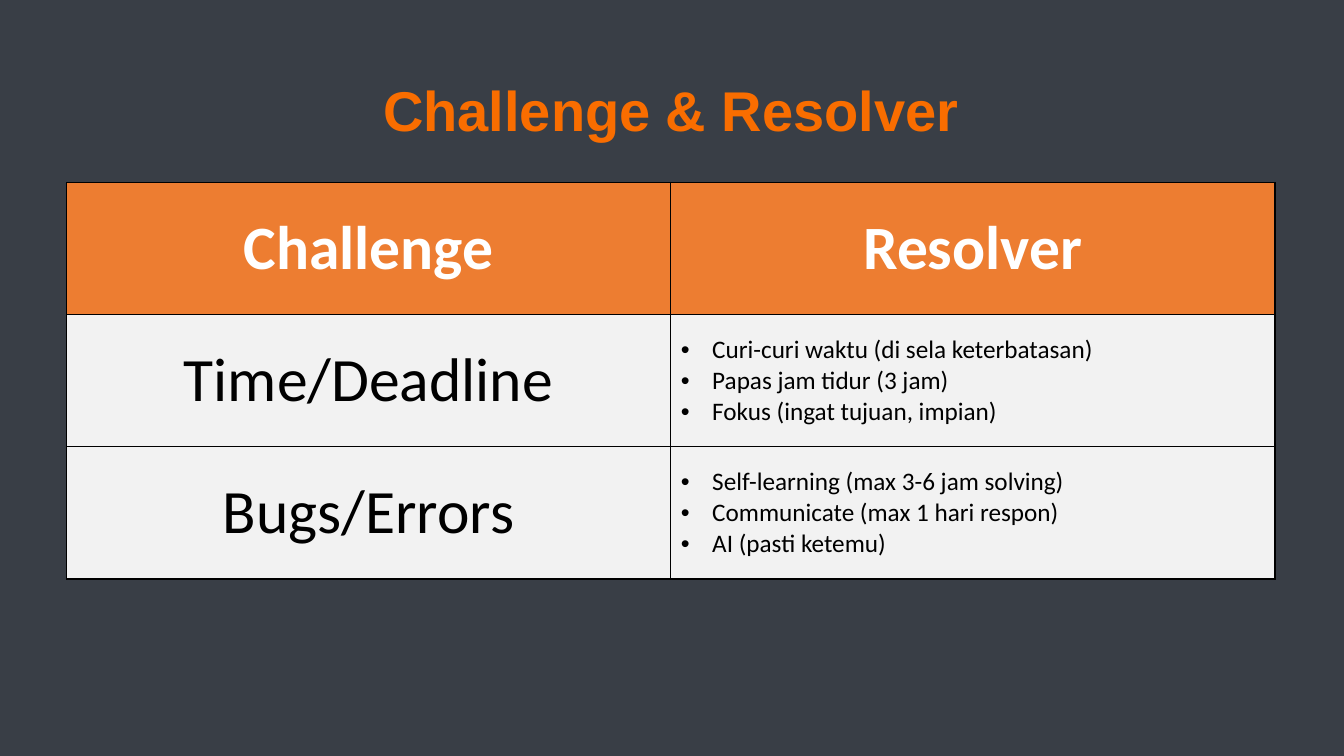
from lxml.etree import SubElement
from pptx import Presentation
from pptx.dml.color import RGBColor
from pptx.enum.text import MSO_ANCHOR, MSO_AUTO_SIZE, PP_ALIGN
from pptx.oxml.ns import qn
from pptx.util import Cm, Pt

COLORS = {
    "background": "393E46",
    "title": "F96D00",
    "header": "ED7D31",
    "body": "F2F2F2",
    "white": "FFFFFF",
    "black": "000000",
}
LEFT, WIDTH = Cm(1.68), Cm(30.45)
ROW_HEIGHT = Cm(3.33)
BULLET_INDENT = Cm(0.79)

HEADERS = ["Challenge", "Resolver"]
CHALLENGES = [
    ("Time/Deadline", [
        "Curi-curi waktu (di sela keterbatasan)",
        "Papas jam tidur (3 jam)",
        "Fokus (ingat tujuan, impian)",
    ]),
    ("Bugs/Errors", [
        "Self-learning (max 3-6 jam solving)",
        "Communicate (max 1 hari respon)",
        "AI (pasti ketemu)",
    ]),
]


def rgb(name):
    return RGBColor.from_string(COLORS[name])


def add_run(p, text, size, color, font="Calibri", bold=False):
    r = p.add_run()
    r.text = text
    r.font.name = font
    r.font.size = Pt(size)
    r.font.bold = bold
    r.font.color.rgb = rgb(color)


def add_bullet(p):
    pPr = p._p.get_or_add_pPr()
    pPr.set("marL", str(BULLET_INDENT))
    pPr.set("indent", str(-BULLET_INDENT))
    SubElement(pPr, qn("a:buFont"), typeface="Arial")
    SubElement(pPr, qn("a:buChar"), char="•")


def style_cell(cell, fill):
    cell.vertical_anchor = MSO_ANCHOR.MIDDLE
    tcPr = cell._tc.get_or_add_tcPr()
    for side in ("lnL", "lnR", "lnT", "lnB"):
        ln = SubElement(tcPr, qn(f"a:{side}"), w=str(Pt(1)))
        line_fill = SubElement(ln, qn("a:solidFill"))
        SubElement(line_fill, qn("a:srgbClr"), val=COLORS["black"])
    cell.fill.solid()
    cell.fill.fore_color.rgb = rgb(fill)


def fill_label(cell, text, fill, color, bold=False):
    style_cell(cell, fill)
    p = cell.text_frame.paragraphs[0]
    p.alignment = PP_ALIGN.CENTER
    add_run(p, text, 44, color, bold=bold)


def fill_bullets(cell, items):
    style_cell(cell, "body")
    tf = cell.text_frame
    for i, item in enumerate(items):
        p = tf.add_paragraph() if i else tf.paragraphs[0]
        add_bullet(p)
        add_run(p, item, 18, "black")


def format_title(s, text):
    sp = s.shapes.title
    sp.left, sp.top, sp.width, sp.height = LEFT, Cm(1.98), WIDTH, Cm(1.75)
    tf = sp.text_frame
    tf.auto_size = MSO_AUTO_SIZE.NONE
    tf.word_wrap = True
    tf.vertical_anchor = MSO_ANCHOR.MIDDLE
    p = tf.paragraphs[0]
    p.alignment = PP_ALIGN.CENTER
    p.line_spacing = 0.9
    add_run(p, text, 40, "title", font="Arial", bold=True)


def add_challenge_table(s):
    rows = len(CHALLENGES) + 1
    table = s.shapes.add_table(rows, len(HEADERS), LEFT, Cm(4.6),
                               WIDTH, ROW_HEIGHT * rows).table
    for col, header in enumerate(HEADERS):
        fill_label(table.cell(0, col), header, "header", "white", bold=True)
    for row, (challenge, resolvers) in enumerate(CHALLENGES, start=1):
        fill_label(table.cell(row, 0), challenge, "body", "black")
        fill_bullets(table.cell(row, 1), resolvers)


def main():
    prs = Presentation()
    prs.slide_width, prs.slide_height = Cm(33.87), Cm(19.05)

    # Slide and background
    s = prs.slides.add_slide(prs.slide_layouts[5])
    s.background.fill.solid()
    s.background.fill.fore_color.rgb = rgb("background")

    # Title and table
    format_title(s, "Challenge & Resolver")
    add_challenge_table(s)

    prs.save("out.pptx")


if __name__ == "__main__":
    main()
